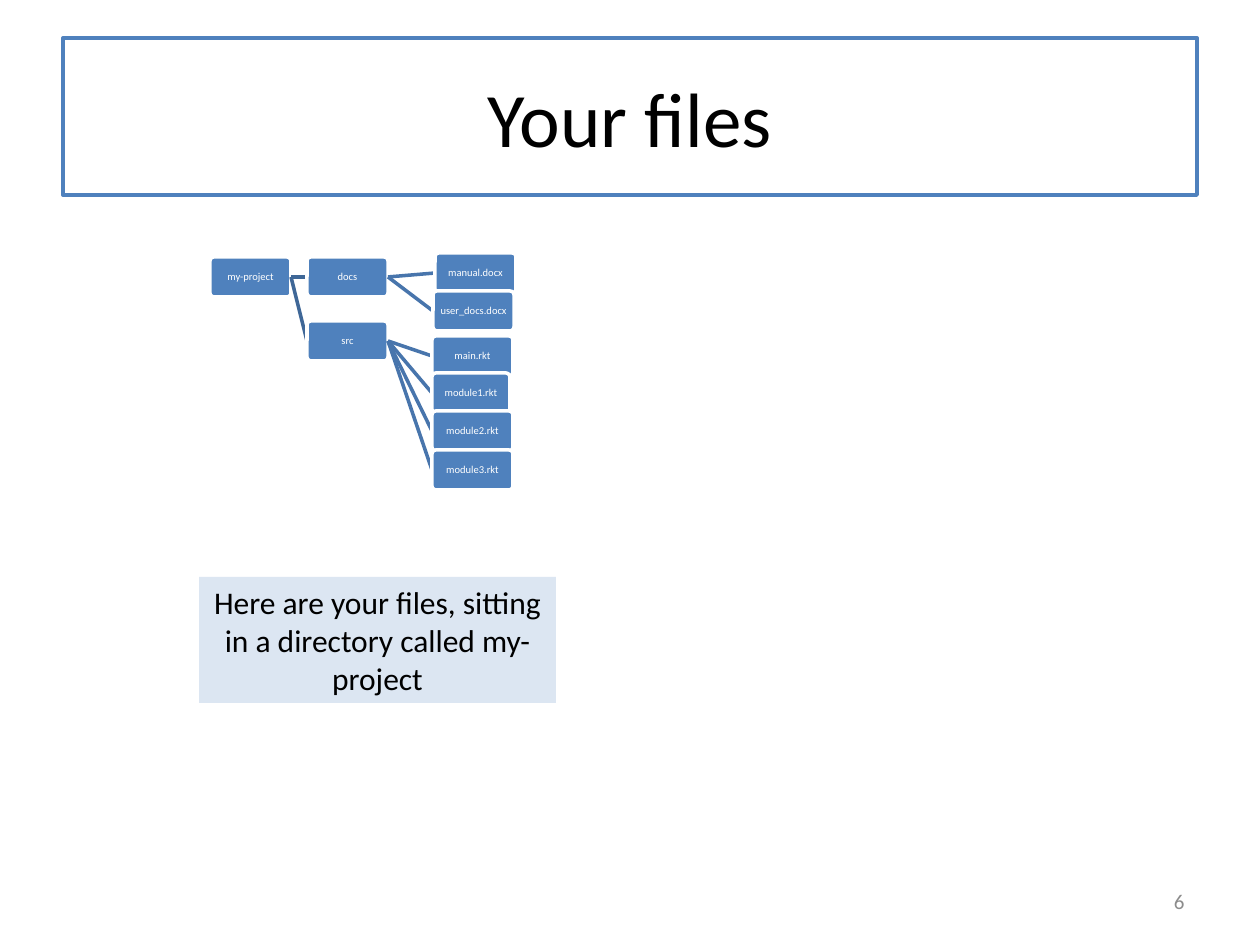
import lxml.etree
import pptx
import pptx.dml.color
import pptx.enum.shapes
import pptx.enum.text
import pptx.oxml.ns
import pptx.util

RGB = pptx.dml.color.RGBColor
ALIGN = pptx.enum.text.PP_ALIGN
SHAPE = pptx.enum.shapes.MSO_SHAPE

BLUE = RGB(0x4F, 0x81, 0xBD)
FOLDER_LINK = RGB(0x3F, 0x67, 0x97)
FILE_LINK = RGB(0x48, 0x75, 0xAC)
PALE_BLUE = RGB(0xDC, 0xE6, 0xF2)
WHITE = RGB(0xFF, 0xFF, 0xFF)
BLACK = RGB(0, 0, 0)
GREY = RGB(0x8C, 0x8C, 0x8C)

EMU_PER_PIXEL = 914400 // 126
NODE_WIDTH, NODE_HEIGHT = 81, 40

# name, left, top, width, children
PROJECT = ("my-project", 210, 257, NODE_WIDTH, [
    ("docs", 307, 257, NODE_WIDTH, [
        ("manual.docx", 435, 253, NODE_WIDTH, []),
        ("user_docs.docx", 433, 291, NODE_WIDTH, []),
    ]),
    ("src", 307, 321, NODE_WIDTH, [
        ("main.rkt", 432, 336, NODE_WIDTH, []),
        ("module1.rkt", 432, 373, 78, []),
        ("module2.rkt", 432, 411, NODE_WIDTH, []),
        ("module3.rkt", 432, 450, NODE_WIDTH, []),
    ]),
])


def px(*lengths):
    """Turn pixel lengths into EMU."""
    return [pptx.util.Emu(length * EMU_PER_PIXEL) for length in lengths]


def apply_format(target, values):
    """Set each attribute named in values on target."""
    for attribute, value in values.items():
        setattr(target, attribute, value)


def write(shape, text, size, color, align=ALIGN.CENTER, **frame_format):
    """Put one formatted, vertically centred paragraph into a shape."""
    frame = shape.text_frame
    apply_format(frame, {"text": text, "word_wrap": True,
                         "vertical_anchor": pptx.enum.text.MSO_ANCHOR.MIDDLE,
                         **frame_format})
    paragraph = frame.paragraphs[0]
    paragraph.alignment = align
    font = paragraph.runs[0].font
    apply_format(font, {"name": "Calibri", "size": pptx.util.Pt(size)})
    font.color.rgb = color
    return paragraph


def set_line(line, color, width):
    """Give a line its colour and its width in points."""
    line.color.rgb = color
    line.width = pptx.util.Pt(width)


def add_box(slide, kind, bounds, fill):
    """Add a flat filled shape without an outline."""
    box = slide.shapes.add_shape(kind, *px(*bounds))
    box.shadow.inherit = False
    box.fill.solid()
    box.fill.fore_color.rgb = fill
    box.line.fill.background()
    return box


def add_link(slide, start, end, color):
    """Draw a straight line between two points."""
    link = slide.shapes.add_connector(
        pptx.enum.shapes.MSO_CONNECTOR.STRAIGHT, *px(*start, *end))
    set_line(link.line, color, 2)
    lxml.etree.SubElement(link._element.spPr,
                          pptx.oxml.ns.qn("a:effectLst"))


def add_tree(slide, node, link_color=FOLDER_LINK):
    """Draw a node, then the link to each child and the child's own tree."""
    name, left, top, width, children = node
    middle = NODE_HEIGHT // 2
    box = add_box(slide, SHAPE.ROUNDED_RECTANGLE,
                  (left, top, width, NODE_HEIGHT), BLUE)
    box.adjustments[0] = 0.1
    set_line(box.line, WHITE, 2)
    sides = ("left", "top", "right", "bottom")
    label = write(box, name, 6, WHITE,
                  **{f"margin_{side}": 0 for side in sides})
    label.line_spacing = 0.9
    for child in children:
        add_link(slide, (left + width, top + middle),
                 (child[1], child[2] + middle), link_color)
        add_tree(slide, child, FILE_LINK)


def add_title(slide, text):
    """Place the framed slide title."""
    title = slide.shapes.title
    bounds = px(63, 38, 1134, 157)
    apply_format(title, dict(zip(("left", "top", "width", "height"), bounds)))
    set_line(title.line, BLUE, 2.25)
    write(title, text, 44, BLACK)


def main():
    """Build the slide and save it."""
    deck = pptx.Presentation()
    deck.slide_width, deck.slide_height = px(1260, 945)
    slide = deck.slides.add_slide(deck.slide_layouts.get_by_name("Title Only"))

    add_title(slide, "Your files")
    add_tree(slide, PROJECT)
    caption = add_box(slide, SHAPE.RECTANGLE, (199, 577, 357, 126), PALE_BLUE)
    write(caption, "Here are your files, sitting in a directory called "
                   "my-project", 18, BLACK)
    page_number = slide.shapes.add_textbox(*px(903, 876, 294, 50))
    write(page_number, "6", 12, GREY, ALIGN.RIGHT)

    deck.save("out.pptx")


main()
